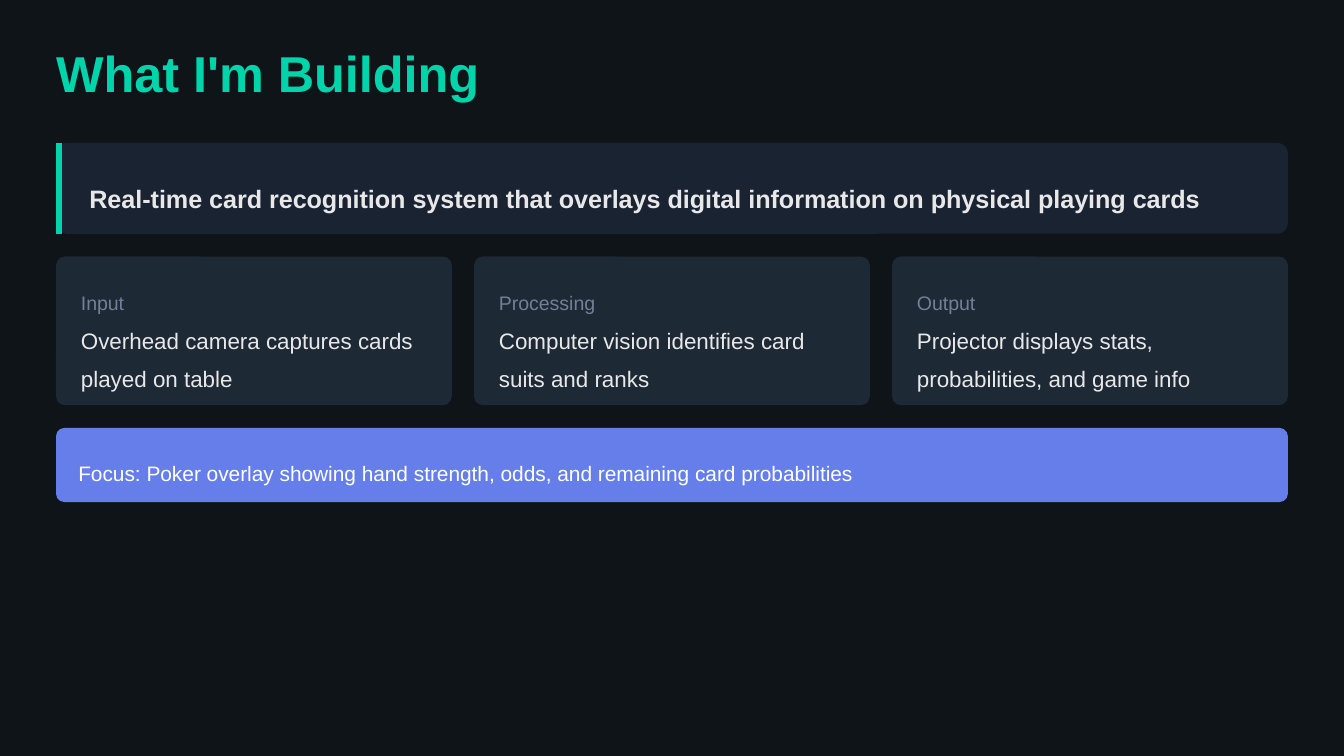
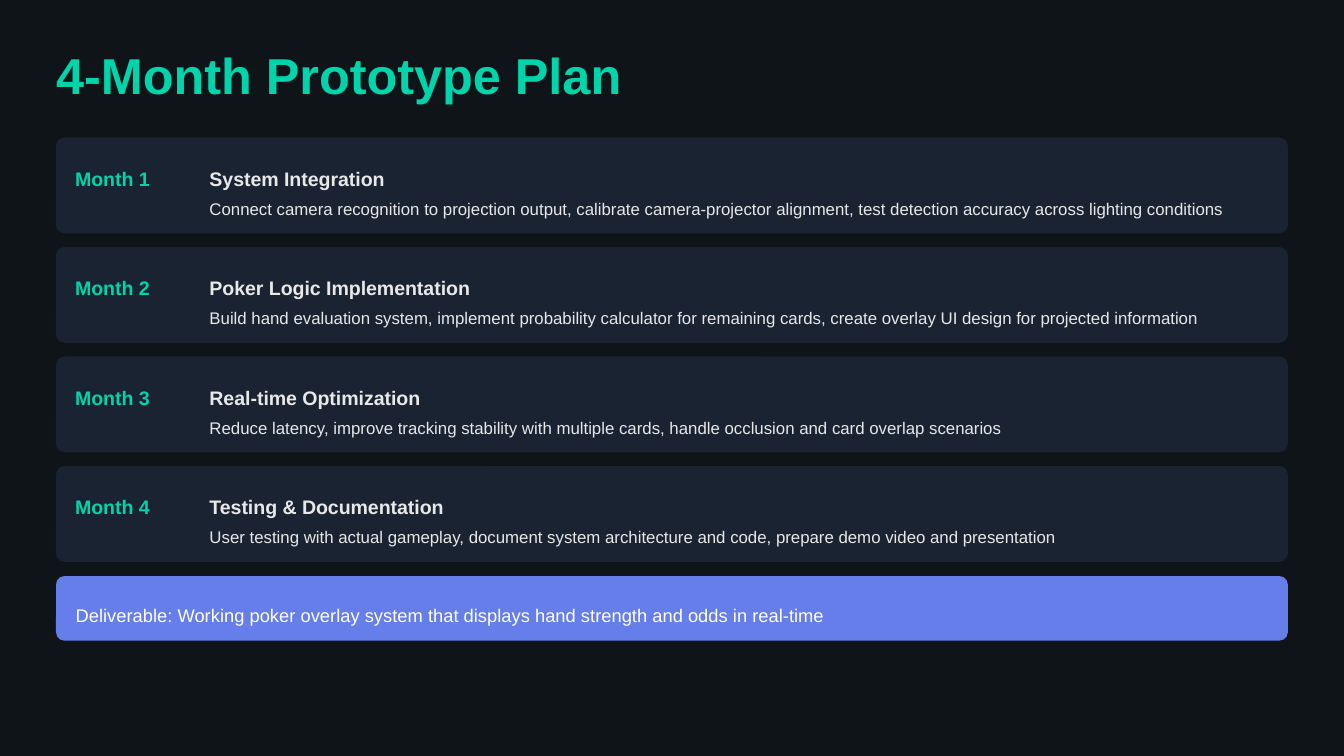
import pptx
import pptx.util
import pptx.dml.color
import pptx.enum.shapes
import pptx.enum.text
import pptx.oxml

Cm = pptx.util.Cm
Pt = pptx.util.Pt

# Shared colours
DARK, GREEN, PANEL, CARD = "0F1419", "00D4AA", "1A2332", "1E2936"
BLUE, LIGHT, GREY, WHITE = "667EEA", "E8E8E8", "718096", "FFFFFF"

# Shared page frame, in cm
LEFT, WIDE = 1.06, 23.28


def paint(hue):
    return pptx.dml.color.RGBColor.from_string(hue)


class Deck:
    """Holds the style and the current slide."""

    font = "Arial"
    frame = {
        "word_wrap": True,
        "margin_left": 0, "margin_right": 0,
        "margin_top": 0, "margin_bottom": 0,
        "vertical_anchor": pptx.enum.text.MSO_ANCHOR.TOP,
    }

    def __init__(self):
        self.show = pptx.Presentation()
        self.show.slide_width = Cm(25.4)
        self.show.slide_height = Cm(14.29)
        self.slide = None

    def page(self, title, top):
        self.slide = self.show.slides.add_slide(self.show.slide_layouts[6])
        back = self.slide.background.fill
        back.solid()
        back.fore_color.rgb = paint(DARK)
        self.text(title, LEFT, top, 11.91, 0.97, 27, GREEN, bold=True, lines=None)

    def text(self, words, left, top, width, height, size, hue,
             bold=False, lines=1.4):
        box = self.slide.shapes.add_textbox(
            Cm(left), Cm(top), Cm(width), Cm(height))
        for name, value in self.frame.items():
            setattr(box.text_frame, name, value)
        para = box.text_frame.paragraphs[0]
        para.line_spacing = lines
        run = para.add_run()
        run.text = words
        style = {"name": self.font, "size": Pt(size), "bold": bold}
        for name, value in style.items():
            setattr(run.font, name, value)
        run.font.color.rgb = paint(hue)

    def panel(self, left, top, width, height, hue, curve):
        shape = self.slide.shapes.add_shape(
            pptx.enum.shapes.MSO_SHAPE.ROUNDED_RECTANGLE,
            Cm(left), Cm(top), Cm(width), Cm(height))
        shape.adjustments[0] = curve
        shape.shadow.inherit = False
        shape.fill.solid()
        shape.fill.fore_color.rgb = paint(hue)
        shape.line.fill.background()

    def rule(self, left, top, height, hue, weight):
        line = self.slide.shapes.add_connector(
            pptx.enum.shapes.MSO_CONNECTOR.STRAIGHT,
            Cm(left), Cm(top), Cm(left), Cm(top + height))
        line.line.color.rgb = paint(hue)
        line.line.width = Pt(weight)
        line._element.spPr.append(pptx.oxml.parse_xml(
            '<a:effectLst xmlns:a='
            '"http://schemas.openxmlformats.org/drawingml/2006/main"/>'))

    def band(self, words, top, height, curve, inset, drop, size):
        self.panel(LEFT, top, WIDE, height, BLUE, curve)
        self.text(words, LEFT + inset, top + drop, 22.9, 0.55, size, WHITE)


def goal(deck):
    deck.page("What I'm Building", 0.79)

    # Key statement with accent rule
    deck.panel(LEFT, 2.7, WIDE, 1.72, PANEL, 0.12)
    deck.rule(LEFT + 0.06, 2.7, 1.72, GREEN, 3)
    deck.text("Real-time card recognition system that overlays digital "
              "information on physical playing cards",
              1.69, 3.23, 22.55, 0.66, 13.5, LIGHT, bold=True)

    # Three equal cards
    cards = [
        ("Input", "Overhead camera captures cards played on table"),
        ("Processing", "Computer vision identifies card suits and ranks"),
        ("Output", "Projector displays stats, probabilities, and game info"),
    ]
    gap, top = 0.42, 4.85
    width = (WIDE - gap * (len(cards) - 1)) / len(cards)
    for i, (head, body) in enumerate(cards):
        left = LEFT + i * (width + gap)
        deck.panel(left, top, width, 2.81, CARD, 0.06)
        deck.text(head, left + 0.47, top + 0.48, 6.65, 0.51, 10.5, GREY)
        deck.text(body, left + 0.47, top + 1.14, 6.65, 1.19, 12, LIGHT)

    deck.band("Focus: Poker overlay showing hand strength, odds, and "
              "remaining card probabilities",
              8.09, 1.4, 0.11, 0.42, 0.42, 11.2)


def plan(deck):
    deck.page("4-Month Prototype Plan", 0.84)

    # One row for each month
    rows = [
        ("System Integration",
         "Connect camera recognition to projection output, calibrate "
         "camera-projector alignment, test detection accuracy across "
         "lighting conditions"),
        ("Poker Logic Implementation",
         "Build hand evaluation system, implement probability calculator "
         "for remaining cards, create overlay UI design for projected "
         "information"),
        ("Real-time Optimization",
         "Reduce latency, improve tracking stability with multiple cards, "
         "handle occlusion and card overlap scenarios"),
        ("Testing & Documentation",
         "User testing with actual gameplay, document system architecture "
         "and code, prepare demo video and presentation"),
    ]
    for i, (head, body) in enumerate(rows):
        top = 2.6 + i * 2.07
        deck.panel(LEFT, top, WIDE, 1.81, PANEL, 0.09)
        deck.text(f"Month {i + 1}", 1.42, top + 0.37, 2.16, 0.51,
                  10.5, GREEN, bold=True)
        deck.text(head, 3.96, top + 0.37, 20.4, 0.51, 10.5, LIGHT, bold=True)
        deck.text(body, 3.96, top + 1, 20.4, 0.43, 9, LIGHT)

    deck.band("Deliverable: Working poker overlay system that displays hand "
              "strength and odds in real-time",
              10.89, 1.22, 0.13, 0.37, 0.37, 9.8)


def main():
    deck = Deck()
    goal(deck)
    plan(deck)
    deck.show.save("out.pptx")


if __name__ == "__main__":
    main()
